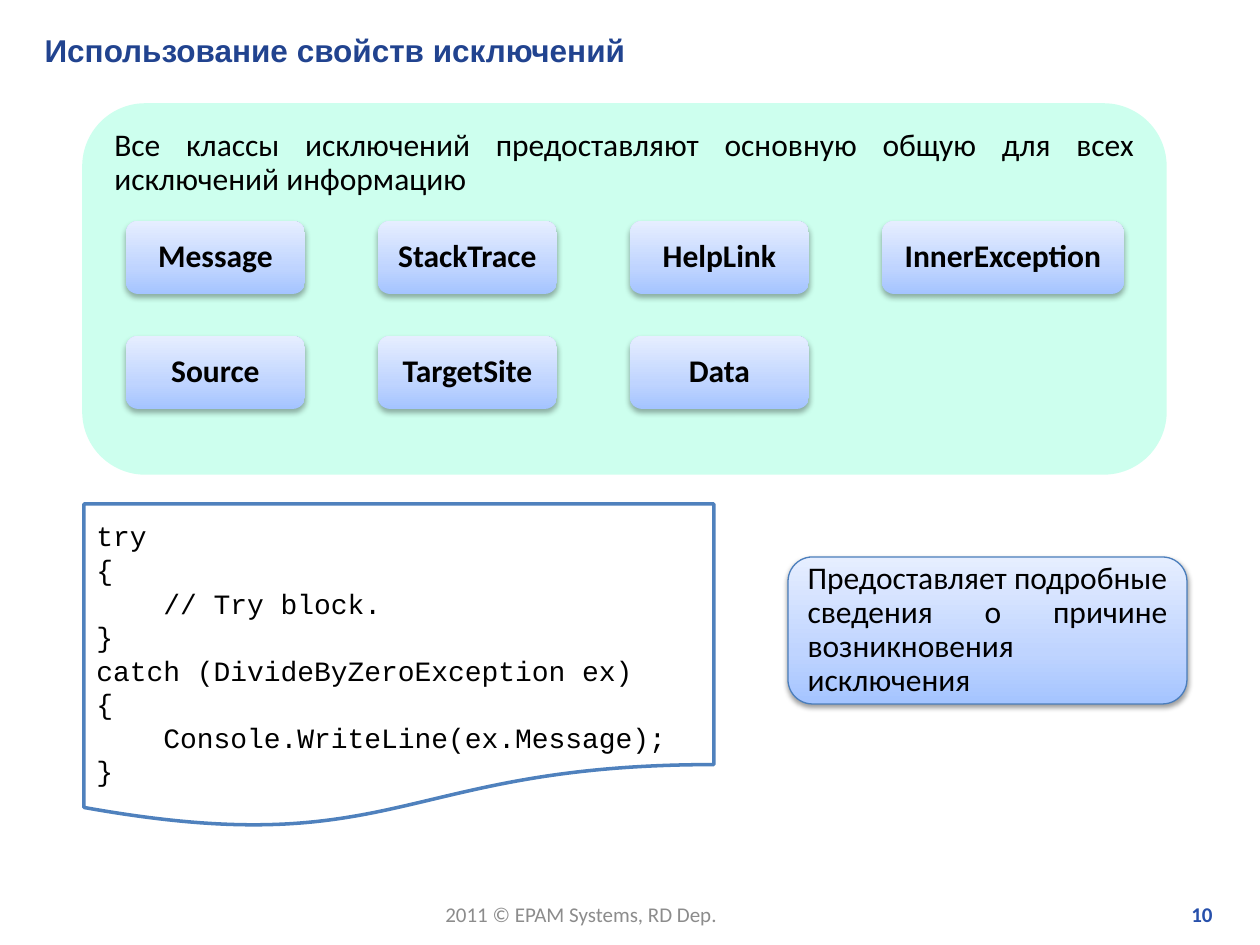
"""Build the slide about the properties that all exception classes share."""
import copy

import lxml.etree
import pptx
import pptx.dml.color
import pptx.enum.shapes
import pptx.enum.text
import pptx.oxml.ns
import pptx.util

RGBColor = pptx.dml.color.RGBColor
MSO_SHAPE = pptx.enum.shapes.MSO_SHAPE
ANCHOR = pptx.enum.text.MSO_ANCHOR
ALIGN = pptx.enum.text.PP_ALIGN
qn = pptx.oxml.ns.qn

EMU_PER_PX = 914400 / 126

BLACK = RGBColor(0x00, 0x00, 0x00)
WHITE = RGBColor(0xFF, 0xFF, 0xFF)
GREY = RGBColor(0x8C, 0x8C, 0x8C)
TITLE_BLUE = RGBColor(0x21, 0x43, 0x8F)
NUMBER_BLUE = RGBColor(0x27, 0x50, 0xAB)
CODE_BLUE = RGBColor(0x4F, 0x81, 0xBD)
NOTE_BLUE = RGBColor(0x4B, 0x7E, 0xBC)
MINT = RGBColor(0xCD, 0xFF, 0xEE)
GRADIENT = [
    (0, RGBColor(0xA4, 0xC4, 0xFF)),
    (0.35, RGBColor(0xBF, 0xD4, 0xFF)),
    (1, RGBColor(0xE6, 0xEE, 0xFF)),
]

PROPERTIES = [
    ["Message", "StackTrace", "HelpLink", "InnerException"],
    ["Source", "TargetSite", "Data"],
]
CODE = """try
{
    // Try block.
}
catch (DivideByZeroException ex)
{
    Console.WriteLine(ex.Message);
}"""


def px(n):
    return pptx.util.Emu(round(n * EMU_PER_PX))


def write(sp, text, size, color, font="Calibri", bold=False,
          align=ALIGN.LEFT, anchor=ANCHOR.TOP, spacing=None):
    tf = sp.text_frame
    tf.text = text
    tf.word_wrap = True
    tf.vertical_anchor = anchor
    for p in tf.paragraphs:
        p.alignment = align
        p.line_spacing = spacing
        for r in p.runs:
            r.font.size = pptx.util.Pt(size)
            r.font.name = font
            r.font.bold = bold
            r.font.color.rgb = color
    return tf


def add_title(slide, text):
    sp = slide.shapes.title
    sp.left, sp.top, sp.width, sp.height = px(32), px(25), px(1202), px(50)
    tf = write(sp, text, 18, TITLE_BLUE, "Arial", True, anchor=ANCHOR.MIDDLE)
    tf.auto_size = pptx.enum.text.MSO_AUTO_SIZE.NONE


def add_label(slide, text, x, y, w, h, color, **style):
    sp = slide.shapes.add_textbox(px(x), px(y), px(w), px(h))
    return write(sp, text, 12, color, **style)


def add_box(slide, kind, x, y, w, h, fill=None, line=None, width=2):
    sp = slide.shapes.add_shape(kind, px(x), px(y), px(w), px(h))
    sp.shadow.inherit = False
    if fill is not None:
        sp.fill.solid()
        sp.fill.fore_color.rgb = fill
    if line is None:
        sp.line.fill.background()
    else:
        sp.line.color.rgb = line
        sp.line.width = pptx.util.Pt(width)
    return sp


def set_gradient(sp):
    sp.fill.gradient()
    sp.fill.gradient_angle = 90
    stops = next(sp._element.spPr.iter(qn("a:gsLst")))
    stops.append(copy.deepcopy(stops[0]))
    for stop, (position, color) in zip(sp.fill.gradient_stops, GRADIENT):
        stop.position = position
        stop.color.rgb = color


def set_shadow(sp, alpha, blur, distance):
    effects = sp._element.spPr.find(qn("a:effectLst"))
    shadow = lxml.etree.SubElement(
        effects, qn("a:outerShdw"), blurRad=str(pptx.util.Pt(blur)),
        dist=str(pptx.util.Pt(distance)), dir="5400000", rotWithShape="0")
    color = lxml.etree.SubElement(shadow, qn("a:srgbClr"), val=str(BLACK))
    lxml.etree.SubElement(color, qn("a:alpha"), val=str(alpha * 1000))


def add_panel(slide, text):
    sp = add_box(slide, MSO_SHAPE.ROUNDED_RECTANGLE, 84, 105, 1081, 368, MINT, MINT)
    write(sp, text, 18, BLACK, align=ALIGN.JUSTIFY, spacing=0.9)


def add_card(slide, text, x, y, w):
    sp = add_box(slide, MSO_SHAPE.ROUNDED_RECTANGLE, x, y, w, 73)
    set_gradient(sp)
    set_shadow(sp, 32, 3.5, 2.2)
    write(sp, text, 18, BLACK, bold=True, align=ALIGN.CENTER,
          anchor=ANCHOR.MIDDLE, spacing=0.9)


def add_code(slide, text):
    sp = add_box(slide, MSO_SHAPE.FLOWCHART_DOCUMENT, 84, 504, 630, 325, WHITE, CODE_BLUE)
    tf = write(sp, text, 16, BLACK, "Courier New")
    tf.margin_top, tf.margin_bottom = px(15), 0


def add_note(slide, text):
    sp = add_box(slide, MSO_SHAPE.ROUNDED_RECTANGLE, 788, 557, 399, 147,
                 line=NOTE_BLUE, width=0.75)
    set_gradient(sp)
    set_shadow(sp, 38, 3.1, 1.6)
    write(sp, text, 18, BLACK, align=ALIGN.JUSTIFY, anchor=ANCHOR.MIDDLE, spacing=0.9)


def main():
    prs = pptx.Presentation()
    prs.slide_width, prs.slide_height = px(1260), px(945)
    slide = prs.slides.add_slide(prs.slide_layouts[5])
    add_label(slide, "2011 © EPAM Systems, RD Dep.", 433, 895, 301, 38, GREY)
    add_label(slide, "10", 958, 895, 267, 38, NUMBER_BLUE, bold=True, align=ALIGN.RIGHT)
    add_title(slide, "Использование свойств исключений")
    add_panel(slide, "Все классы исключений предоставляют основную общую "
                     "для всех исключений информацию")
    for row, names in enumerate(PROPERTIES):
        for col, name in enumerate(names):
            add_card(slide, name, 126 + 252 * col, 221 + 115 * row,
                     242 if col == 3 else 179)
    add_code(slide, CODE)
    add_note(slide, "Предоставляет подробные сведения о причине "
                    "возникновения исключения")
    prs.save("out.pptx")


if __name__ == "__main__":
    main()
